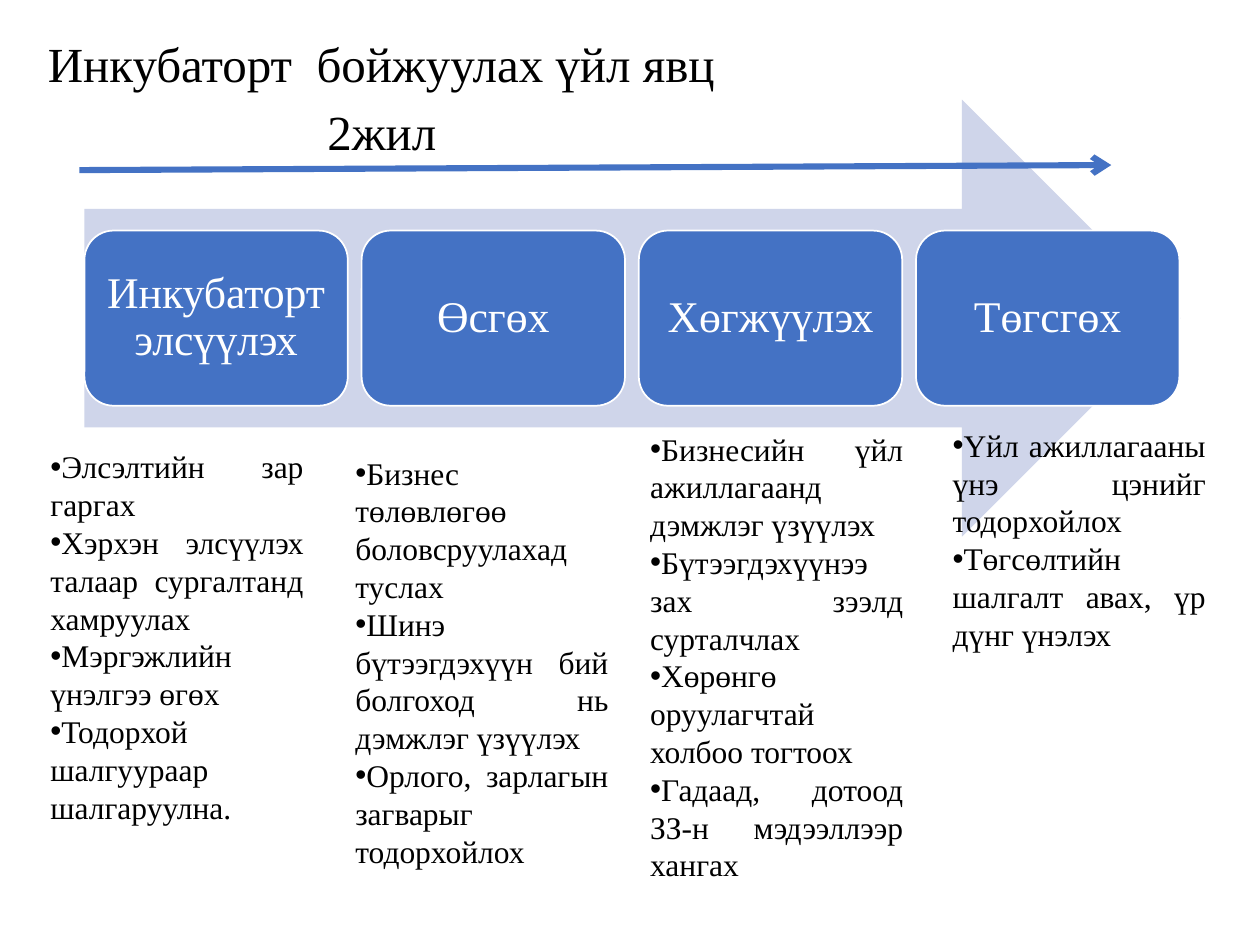
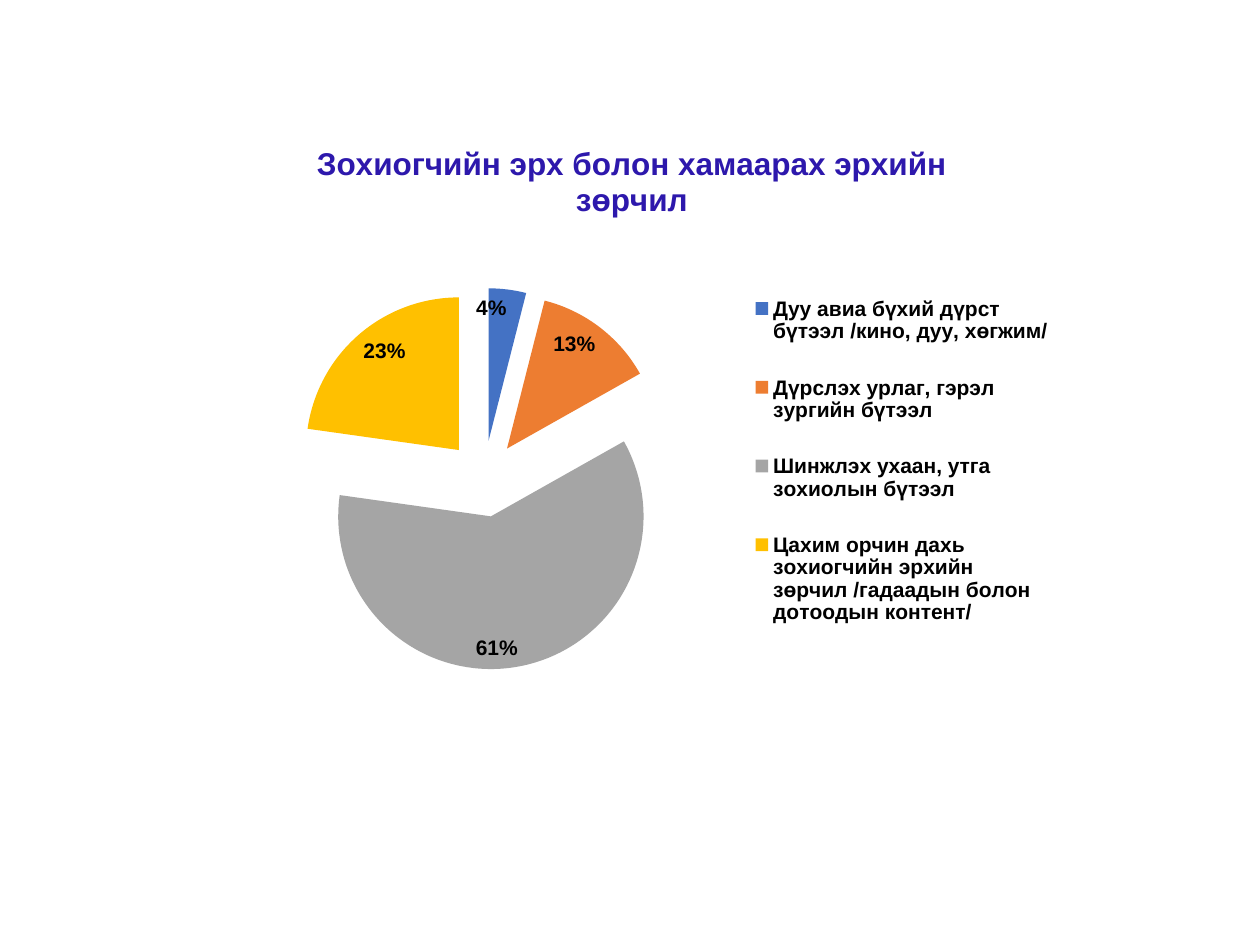
from dataclasses import dataclass
from lxml.etree import SubElement
from pptx import Presentation
from pptx.chart.data import CategoryChartData
from pptx.dml.color import RGBColor
from pptx.enum.chart import XL_CHART_TYPE as CHART, XL_LABEL_POSITION as LABEL, XL_LEGEND_POSITION as LEGEND
from pptx.enum.shapes import MSO_CONNECTOR as LINE, MSO_SHAPE as SHAPE
from pptx.enum.text import MSO_ANCHOR as ANCHOR, MSO_AUTO_SIZE as FIT, PP_ALIGN as ALIGN
from pptx.oxml.ns import qn
from pptx.util import Inches, Pt


@dataclass(frozen=True)
class Theme:
    serif: str = "Times New Roman"
    sans: str = "Arial"
    black: str = "000000"
    white: str = "FFFFFF"
    blue: str = "4472C4"
    pale: str = "CFD5EA"
    violet: str = "2D18AC"
    title: int = 28
    stage: int = 25
    body: int = 18
    chart: int = 12


T = Theme()
WIDTH, HEIGHT = 10, 7.5

TITLE = "Инкубаторт  бойжуулах үйл явц"
DURATION = "2жил"
STAGES = [
    ("Инкубаторт элсүүлэх", (0.3, 3.5, 3.13), [
        "Элсэлтийн зар гаргах",
        "Хэрхэн элсүүлэх талаар сургалтанд хамруулах",
        "Мэргэжлийн үнэлгээ өгөх",
        "Тодорхой шалгуураар шалгаруулна."]),
    ("Өсгөх", (2.72, 3.55, 3.43), [
        "Бизнес төлөвлөгөө боловсруулахад туслах",
        "Шинэ бүтээгдэхүүн бий болгоход нь дэмжлэг үзүүлэх",
        "Орлого, зарлагын загварыг тодорхойлох"]),
    ("Хөгжүүлэх", (5.06, 3.36, 3.74), [
        "Бизнесийн үйл ажиллагаанд дэмжлэг үзүүлэх",
        "Бүтээгдэхүүнээ зах зээлд сурталчлах",
        "Хөрөнгө оруулагчтай холбоо тогтоох",
        "Гадаад, дотоод ЗЗ-н мэдээллээр хангах"]),
    ("Төгсгөх", (7.46, 3.33, 1.92), [
        "Үйл ажиллагааны үнэ цэнийг тодорхойлох",
        "Төгсөлтийн шалгалт авах, үр дүнг үнэлэх"]),
]
LIST_WIDTH = 2.21
STAGE_LEFT, STAGE_TOP, STAGE_STEP, STAGE_WIDTH, STAGE_HEIGHT = 0.67, 1.83, 2.2, 2.09, 1.39

CHART_TITLE = "Зохиогчийн эрх болон хамаарах эрхийн зөрчил"
VIOLATIONS = [
    ("Дуу авиа бүхий дүрст бүтээл /кино, дуу, хөгжим/", 4, "4472C4"),
    ("Дүрслэх урлаг, гэрэл зургийн бүтээл", 13, "ED7D31"),
    ("Шинжлэх ухаан, утга зохиолын бүтээл", 61, "A5A5A5"),
    ("Цахим орчин дахь зохиогчийн эрхийн зөрчил /гадаадын болон дотоодын контент/", 23, "FFC000"),
]


def rgb(color):
    return RGBColor.from_string(color)


def box(*lengths):
    return [Inches(v) for v in lengths]


def style(font, name, size, color, bold=False):
    font.name, font.size, font.bold = name, Pt(size), bold
    font.color.rgb = rgb(color)


def write(sp, lines, size, color=T.black, align=ALIGN.LEFT, anchor=ANCHOR.TOP, spacing=1.0, bullet=None):
    tf = sp.text_frame
    tf.text = "\n".join(lines)
    tf.word_wrap, tf.auto_size, tf.vertical_anchor = True, FIT.NONE, anchor
    for p in tf.paragraphs:
        p.alignment, p.line_spacing, p.space_before = align, spacing, Pt(0)
        if bullet:
            pPr = p._p.get_or_add_pPr()
            pPr.set("marL", "0")
            pPr.set("indent", "0")
            SubElement(pPr, qn("a:buFont")).set("typeface", T.sans)
            SubElement(pPr, qn("a:buChar")).set("char", bullet)
        for r in p.runs:
            style(r.font, T.serif, size, color)


def place(sp, *lengths):
    sp.left, sp.top, sp.width, sp.height = box(*lengths)


def add_block(s, kind, lengths, fill):
    sp = s.shapes.add_shape(kind, *box(*lengths))
    sp.shadow.inherit = False
    sp.fill.solid()
    sp.fill.fore_color.rgb = rgb(fill)
    sp.line.fill.background()
    return sp


def add_time_arrow(s, start, end):
    line = s.shapes.add_connector(LINE.STRAIGHT, *box(*start, *end))
    line.line.color.rgb, line.line.width = rgb(T.blue), Pt(3.5)
    SubElement(line.line._get_or_add_ln(), qn("a:tailEnd")).set("type", "arrow")
    SubElement(line._element.spPr, qn("a:effectLst"))


def set_layout(parent, index, shares, inner=False):
    for old in parent.findall(qn("c:layout")):
        parent.remove(old)
    layout = SubElement(parent, qn("c:layout"))
    parent.insert(index, layout)
    manual = SubElement(layout, qn("c:manualLayout"))
    settings = [("layoutTarget", "inner")] if inner else []
    settings += [("xMode", "edge"), ("yMode", "edge"), *zip("xywh", shares)]
    for tag, value in settings:
        SubElement(manual, qn(f"c:{tag}")).set("val", str(value))


def build_process(prs):
    s = prs.slides.add_slide(prs.slide_layouts[4])
    title, *lists = s.placeholders
    place(title, 0.28, 0.2, 8.25, 0.66)
    write(title, [TITLE], T.title, anchor=ANCHOR.MIDDLE, spacing=0.9)

    add_block(s, SHAPE.RIGHT_ARROW, (0.67, 0.79, 8.7, 3.47), T.pale)
    for i, (name, (left, top, height), tasks) in enumerate(STAGES):
        sp = add_block(s, SHAPE.ROUNDED_RECTANGLE,
                       (STAGE_LEFT + i * STAGE_STEP, STAGE_TOP, STAGE_WIDTH, STAGE_HEIGHT), T.blue)
        sp.line.color.rgb, sp.line.width = rgb(T.white), Pt(1)
        write(sp, [name], T.stage, T.white, ALIGN.CENTER, ANCHOR.MIDDLE, 0.9)
        sp.text_frame.margin_left = sp.text_frame.margin_right = Inches(0.06)
        place(lists[i], left, top, LIST_WIDTH, height)
        write(lists[i], tasks, T.body, align=ALIGN.JUSTIFY, bullet="•")
        s.shapes.element.append(lists[i].element)

    add_time_arrow(s, (0.63, 1.35), (8.82, 1.31))
    write(s.shapes.add_textbox(*box(2.5, 0.76, 1.26, 0.57)), [DURATION], T.title)


def build_violations(prs):
    s = prs.slides.add_slide(prs.slide_layouts[6])
    names, values, colors = zip(*VIOLATIONS)
    data = CategoryChartData()
    data.categories = names
    data.add_series(CHART_TITLE, values)
    chart = s.shapes.add_chart(CHART.PIE, *box(1.56, 0.94, 6.91, 4.81), data).chart
    style(chart.font, T.sans, T.chart, T.black, True)

    chart.has_title = True
    tf = chart.chart_title.text_frame
    tf.text = CHART_TITLE
    style(tf.paragraphs[0].runs[0].font, T.sans, T.body, T.violet, True)

    chart.has_legend = True
    chart.legend.position, chart.legend.include_in_layout = LEGEND.RIGHT, False
    set_layout(chart.legend._element, 1, (0.64, 0.24, 0.34, 0.65))

    plot = chart.plots[0]
    plot.vary_by_categories = True
    set_layout(plot._element.getparent(), 0, (0.07, 0.28, 0.52, 0.63), inner=True)
    series = plot.series[0]
    for i, color in enumerate(colors):
        fill = series.points[i].format.fill
        fill.solid()
        fill.fore_color.rgb = rgb(color)
    explosion = SubElement(series._element, qn("c:explosion"))
    explosion.set("val", "25")
    series._element.find(qn("c:tx")).addnext(explosion)

    labels = series.data_labels
    labels.show_value, labels.position = True, LABEL.INSIDE_END
    labels.number_format, labels.number_format_is_linked = '0"%"', False
    style(labels.font, T.sans, T.chart, T.black, True)


def main():
    prs = Presentation()
    prs.slide_width, prs.slide_height = box(WIDTH, HEIGHT)
    build_process(prs)
    build_violations(prs)
    prs.save("out.pptx")


if __name__ == "__main__":
    main()
